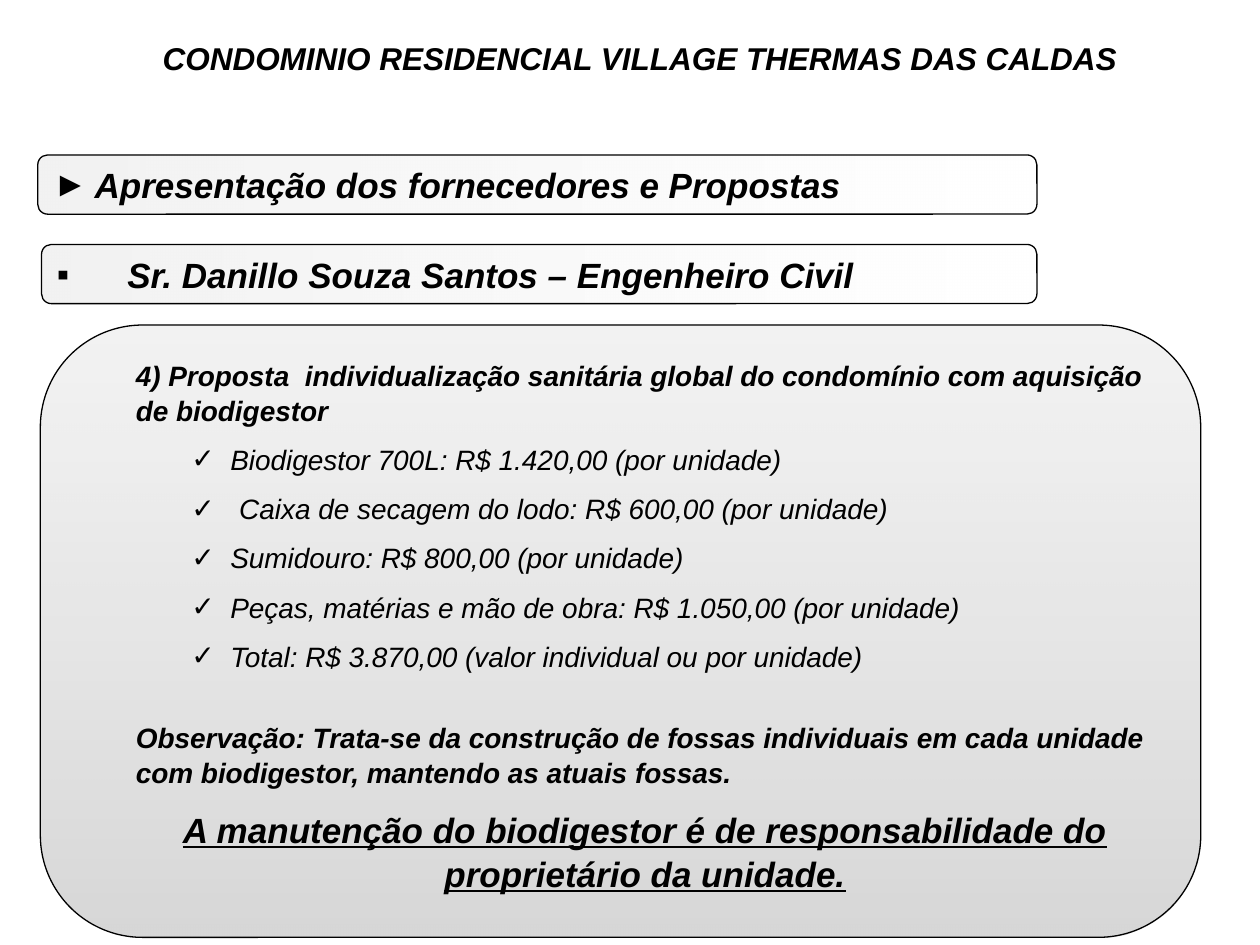
from lxml import etree
from pptx import Presentation
from pptx.dml.color import RGBColor
from pptx.enum import shapes, text
from pptx.oxml import ns
from pptx import util as u

PX = 9144  # EMU per px, 100 px to the inch
BLACK = RGBColor(0x00, 0x00, 0x00)
MIST = RGBColor(0xEA, 0xEA, 0xEA)
WHITE = RGBColor(0xFF, 0xFF, 0xFF)
SILVER = RGBColor(0xD9, 0xD9, 0xD9)
STEEL = RGBColor(0x9B, 0x9B, 0x9B)

LEFT, CENTER = text.PP_ALIGN.LEFT, text.PP_ALIGN.CENTER
BAR_FADE = ((MIST, 60), (WHITE, 40))
PANEL_FADE = ((SILVER, 32), (STEEL, 40))


class SlideStyle:
    """Holds the font style and the current page."""

    font = {"name": "Arial", "italic": True}

    def __init__(self, page):
        self.page = page

    def panel(self, left, top, width, height, fade, angle):
        box = self.page.shapes.add_shape(
            shapes.MSO_SHAPE.ROUNDED_RECTANGLE,
            *(n * PX for n in (left, top, width, height)))
        box.adjustments[0] = 0.167
        box.shadow.inherit = False
        box.line.color.rgb = BLACK
        box.line.width = u.Pt(0.75)
        box.fill.gradient()
        box.fill.gradient_angle = angle
        for stop, (color, opacity) in zip(box.fill.gradient_stops, fade):
            stop.color.rgb = color
        # Opacity of each gradient stop
        colors = box._element.spPr.iter(ns.qn("a:srgbClr"))
        for node, (color, opacity) in zip(colors, fade):
            etree.SubElement(node, ns.qn("a:alpha"), val=str(opacity * 1000))
        return box

    def text_box(self, left, top, width, height):
        box = self.page.shapes.add_textbox(
            *(n * PX for n in (left, top, width, height)))
        box.text_frame.word_wrap = True
        return box

    def paragraph(self, box, words, size, bold=True, underline=None,
                  align=LEFT, margin=0, hanging=0, bullet=None, **spacing):
        frame = box.text_frame
        para = frame.paragraphs[0]
        if para.runs:
            para = frame.add_paragraph()
        for key, value in {"alignment": align, **spacing}.items():
            setattr(para, key, value)
        props = para._p.get_or_add_pPr()
        props.set("marL", str(margin * PX))
        props.set("indent", str(-hanging * PX))
        if bullet:
            color = etree.SubElement(props, ns.qn("a:buClr"))
            etree.SubElement(color, ns.qn("a:srgbClr"), val=str(BLACK))
            etree.SubElement(props, ns.qn("a:buFont"), typeface="Arial")
            etree.SubElement(props, ns.qn("a:buChar"), char=bullet)
        span = para.add_run()
        span.text = words
        look = {**self.font, "size": u.Pt(size), "bold": bold,
                "underline": underline}
        for key, value in look.items():
            setattr(span.font, key, value)
        span.font.color.rgb = BLACK

    def bar(self, left, top, width, height, words, bullet, margin):
        box = self.panel(left, top, width, height, BAR_FADE, 0)
        box.text_frame.word_wrap = True
        box.text_frame.vertical_anchor = text.MSO_ANCHOR.MIDDLE
        self.paragraph(box, words, 20, margin=margin, hanging=margin,
                       bullet=bullet)


def main():
    deck = Presentation()
    deck.slide_width, deck.slide_height = 1000 * PX, 750 * PX
    style = SlideStyle(deck.slides.add_slide(deck.slide_layouts[6]))

    # Title
    title = style.text_box(67, 24, 882, 41)
    style.paragraph(title, "CONDOMINIO RESIDENCIAL VILLAGE THERMAS DAS CALDAS",
                    18, align=CENTER, line_spacing=1.07)

    # Heading bars
    style.bar(33, 194, 790, 47, "Sr. Danillo Souza Santos – Engenheiro Civil",
              "▪", 56)
    style.bar(30, 123, 793, 47, "Apresentação dos fornecedores e Propostas",
              "►", 33)

    # Proposal panel
    style.panel(32, 258, 921, 486, PANEL_FADE, 270)
    body = style.text_box(17, 278, 909, 450)
    style.paragraph(body, "4) Proposta  individualização sanitária global do "
                    "condomínio com aquisição de biodigestor", 16, margin=81,
                    line_spacing=1.05)

    # Price items
    items = (
        ("Biodigestor 700L: R$ 1.420,00 (por unidade)", 31),
        ("Caixa de secagem do lodo: R$ 600,00 (por unidade)", 38),
        ("Sumidouro: R$ 800,00 (por unidade)", 31),
        ("Peças, matérias e mão de obra: R$ 1.050,00 (por unidade)", 31),
        ("Total: R$ 3.870,00 (valor individual ou por unidade)", 31),
    )
    for words, hanging in items:
        style.paragraph(body, words, 16, bold=False, margin=125 + hanging,
                        hanging=hanging, bullet="✓", space_before=u.Pt(8),
                        line_spacing=1.05)

    # Closing remarks
    style.paragraph(body, "Observação: Trata-se da construção de fossas "
                    "individuais em cada unidade com biodigestor, mantendo as "
                    "atuais fossas.", 16, margin=81, space_before=u.Pt(26),
                    line_spacing=1.05)
    style.paragraph(body, "A manutenção do biodigestor é de responsabilidade "
                    "do proprietário da unidade.", 20, underline=True,
                    align=CENTER, margin=81, space_before=u.Pt(10),
                    line_spacing=1.05)

    deck.save("out.pptx")


if __name__ == "__main__":
    main()
